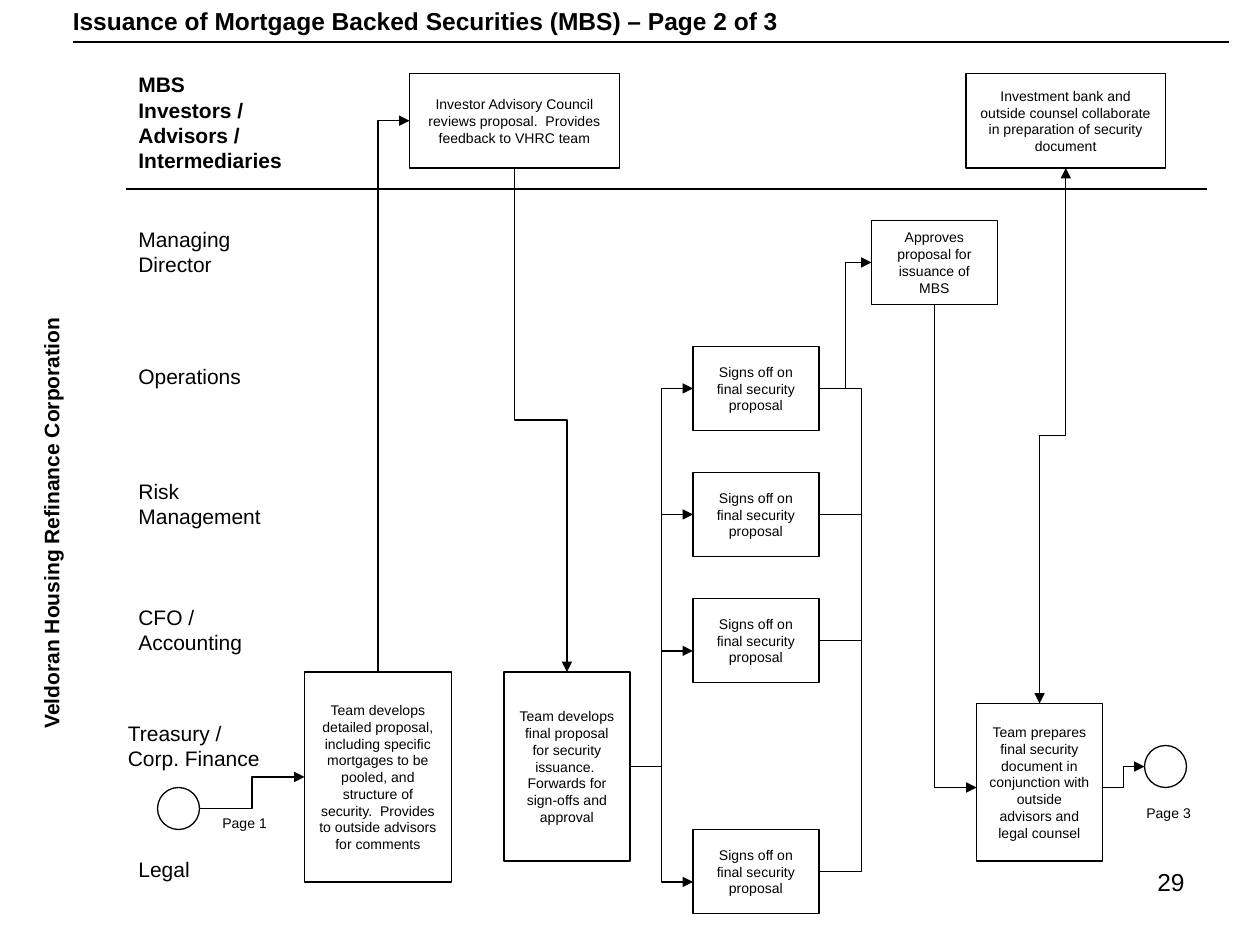
"""Builds the swim-lane slide for the issuance of mortgage backed securities."""
from dataclasses import dataclass

from lxml import etree
from pptx import Presentation
from pptx import util as u
from pptx.dml.color import RGBColor
from pptx.enum import shapes, text
from pptx.oxml.ns import qn

PX = 9525
BLACK, WHITE = "000000", "FFFFFF"
SIGN_OFF = "Signs off on final security proposal"


@dataclass
class Label:
    """A text box; each item of lines is one paragraph."""
    x: int
    y: int
    w: int
    h: int
    lines: tuple[str, ...]
    size: int = 12
    bold: bool = False
    wrap: bool = False
    grow: bool = True
    rotation: int = 0
    align: text.PP_ALIGN = text.PP_ALIGN.LEFT


@dataclass
class Step:
    """A process box, or an empty page connector when round."""
    x: int
    y: int
    w: int
    h: int
    words: str = ""
    round: bool = False


@dataclass
class Elbow:
    """A bent connector; upright ones leave their start vertically."""
    x1: int
    y1: int
    x2: int
    y2: int
    upright: bool = False
    corners: int = 2
    bend: int = 50000
    heads: tuple[str, ...] = ("tailEnd",)


LABELS = [
    Label(688, 656, 224, 50, ("29",), 14, wrap=True, grow=False, align=text.PP_ALIGN.RIGHT),
    Label(46, 0, 557, 33, ("Issuance of Mortgage Backed Securities (MBS) – Page 2 of 3",), 14, True),
    Label(96, 50, 129, 86, ("MBS", "Investors /", "Advisors /", "Intermediaries"), bold=True),
    Label(96, 168, 101, 48, ("Managing", "Director"), wrap=True),
    Label(96, 272, 100, 29, ("Operations",)),
    Label(96, 360, 120, 48, ("Risk Management",), wrap=True),
    Label(96, 456, 101, 48, ("CFO / Accounting",), wrap=True),
    Label(88, 544, 128, 48, ("Treasury /", "Corp. Finance"), wrap=True),
    Label(96, 648, 59, 29, ("Legal",)),
    Label(-131, 380, 340, 29, ("Veldoran Housing Refinance Corporation",), bold=True, rotation=270),
    Label(160, 616, 53, 23, ("Page 1",), 8),
    Label(864, 608, 53, 23, ("Page 3",), 8),
]

STEPS = [
    Step(120, 600, 32, 32, round=True),
    Step(872, 568, 32, 32, round=True),
    Step(312, 56, 160, 72,
         "Investor Advisory Council reviews proposal.  Provides feedback to VHRC team"),
    Step(736, 56, 152, 72, "Investment bank and outside counsel collaborate "
                           "in preparation of security document"),
    Step(232, 512, 112, 160,
         "Team develops detailed proposal, including specific mortgages to be pooled, and "
         "structure of security.  Provides to outside advisors for comments"),
    Step(384, 512, 96, 144, "Team develops final proposal for security issuance.  "
                            "Forwards for sign-offs and approval"),
    Step(664, 168, 96, 64, "Approves proposal for issuance of MBS"),
    Step(744, 536, 96, 120, "Team prepares final security document in conjunction "
                            "with outside advisors and legal counsel"),
    *(Step(528, y, 96, 64, SIGN_OFF) for y in (264, 360, 456, 632)),
]

ELBOWS = [
    Elbow(152, 616, 232, 592),
    Elbow(288, 512, 312, 92, upright=True, corners=1),
    Elbow(392, 128, 432, 512, upright=True),
    *(Elbow(480, 584, 528, y) for y in (296, 392, 496, 672)),
    Elbow(624, 664, 625, 296, bend=3300000, heads=()),
    Elbow(624, 392, 625, 488, bend=3300000, heads=()),
    Elbow(624, 296, 664, 200),
    Elbow(712, 232, 744, 600, upright=True, corners=1),
    Elbow(840, 600, 872, 584),
    Elbow(792, 536, 812, 128, upright=True, heads=("headEnd", "tailEnd")),
]


def color(value: str) -> RGBColor:
    """Turn a hex string into a colour."""
    return RGBColor.from_string(value)


def px(*lengths: float) -> list[int]:
    """Turn px into EMU."""
    return [round(length * PX) for length in lengths]


def write(frame, lines: tuple[str, ...], size: int, bold: bool, align) -> None:
    """Fill a text frame, one run to a paragraph."""
    for index, line in enumerate(lines):
        para = frame.add_paragraph() if index else frame.paragraphs[0]
        para.alignment = align
        span = para.add_run()
        span.text = line
        span.font.name, span.font.size, span.font.bold = "Arial", u.Pt(size), bold
        span.font.color.rgb = color(BLACK)


def draw_label(page, label: Label) -> None:
    """Draw a text box."""
    box = page.shapes.add_textbox(*px(label.x, label.y, label.w, label.h))
    box.rotation = label.rotation
    frame = box.text_frame
    frame.word_wrap = label.wrap
    if label.grow:
        frame.auto_size = text.MSO_AUTO_SIZE.SHAPE_TO_FIT_TEXT
    write(frame, label.lines, label.size, label.bold, label.align)


def draw_step(page, step: Step) -> None:
    """Draw a process box or page connector."""
    kinds = shapes.MSO_SHAPE
    kind = kinds.FLOWCHART_CONNECTOR if step.round else kinds.FLOWCHART_PROCESS
    box = page.shapes.add_shape(kind, *px(step.x, step.y, step.w, step.h))
    box.shadow.inherit = False
    box.fill.solid()
    box.fill.fore_color.rgb = color(WHITE)
    box.line.color.rgb = color(BLACK)
    box.line.width = u.Pt(0.75)
    if step.words:
        frame = box.text_frame
        frame.word_wrap = True
        frame.vertical_anchor = text.MSO_ANCHOR.MIDDLE
        write(frame, (step.words,), 8, False, text.PP_ALIGN.CENTER)


def draw_line(page, kind, ends: tuple[float, ...], heads: tuple[str, ...] = ()):
    """Draw a thin black connector with triangular heads and return it."""
    line = page.shapes.add_connector(kind, *px(*ends))
    line.line.color.rgb = color(BLACK)
    line.line.width = u.Pt(0.75)
    for head in heads:
        etree.SubElement(line.line._get_or_add_ln(), qn(f"a:{head}"), type="triangle")
    etree.SubElement(line._element.spPr, qn("a:effectLst"))
    return line


def draw_elbow(page, elbow: Elbow) -> None:
    """Draw a bent connector, turning it a quarter when upright."""
    ends = (elbow.x1, elbow.y1, elbow.x2, elbow.y2)
    down = elbow.y2 > elbow.y1
    if elbow.upright:
        mid_x, mid_y = (elbow.x1 + elbow.x2) / 2, (elbow.y1 + elbow.y2) / 2
        half_run = abs(elbow.y2 - elbow.y1) / 2
        half_rise = (elbow.x2 - elbow.x1) / 2 * (1 if down else -1)
        ends = (mid_x + half_run, mid_y - half_rise, mid_x - half_run, mid_y + half_rise)
    line = draw_line(page, shapes.MSO_CONNECTOR.ELBOW, ends, elbow.heads)
    properties = line._element.spPr
    if elbow.upright:
        properties.find(qn("a:xfrm")).set("rot", str((270 if down else 90) * 60000))
    geometry = properties.find(qn("a:prstGeom"))
    geometry.set("prst", f"bentConnector{elbow.corners + 1}")
    if elbow.corners == 2:
        guides = geometry.find(qn("a:avLst"))
        etree.SubElement(guides, qn("a:gd"), name="adj1", fmla=f"val {elbow.bend}")


def main() -> None:
    """Build and save the deck."""
    deck = Presentation()
    deck.slide_width, deck.slide_height = px(960, 720)
    page = deck.slides.add_slide(deck.slide_layouts[6])
    for ends in ((96, 144, 920, 144), (56, 32, 936, 32)):
        draw_line(page, shapes.MSO_CONNECTOR.STRAIGHT, ends)
    for label in LABELS:
        draw_label(page, label)
    for step in STEPS:
        draw_step(page, step)
    for elbow in ELBOWS:
        draw_elbow(page, elbow)
    deck.save("out.pptx")


if __name__ == "__main__":
    main()
